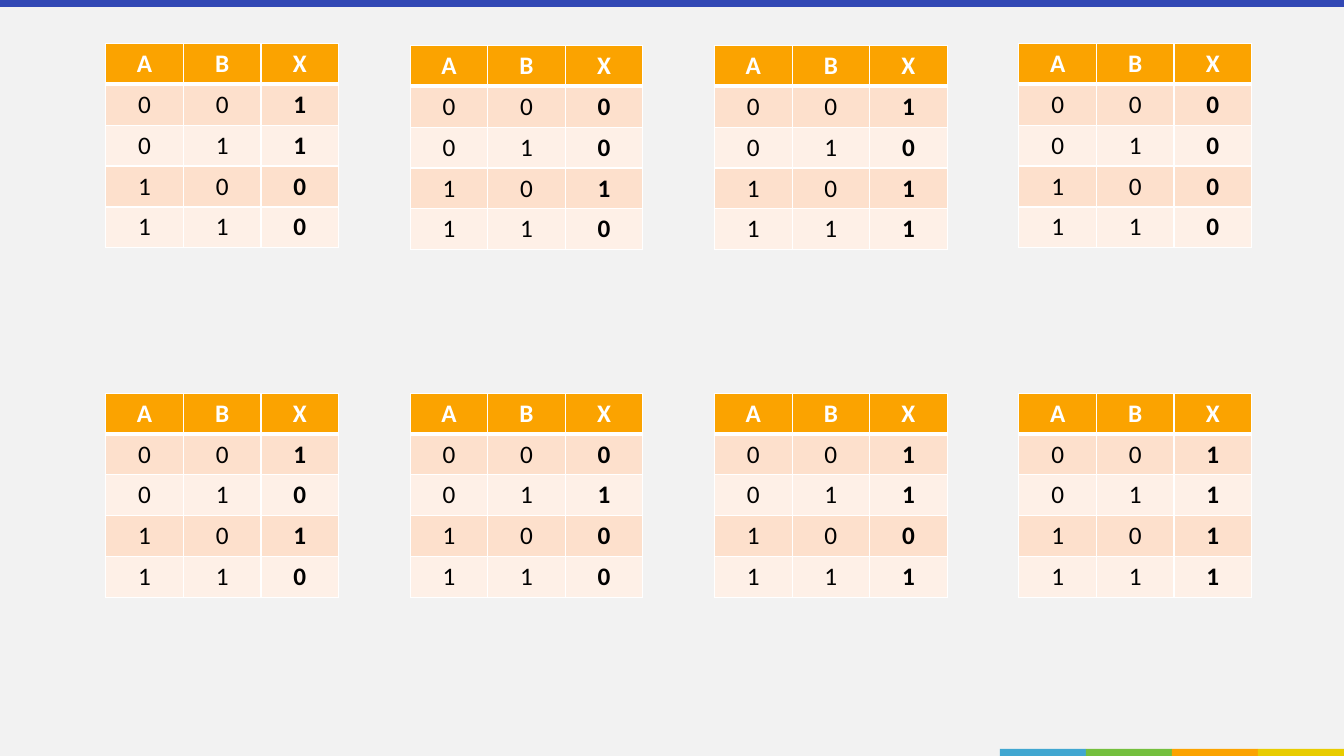
from lxml.etree import SubElement as Sub
from pptx import Presentation
from pptx.dml.color import RGBColor
from pptx.enum.shapes import MSO_SHAPE as Shape
from pptx.enum.text import PP_ALIGN as Align
from pptx.oxml.ns import qn
from pptx.util import Pt

WIDE, HIGH = 960, 540
BAR = 5
COL, ROW = 55.4, 29.2
LEFT, STEP = 75.6, 217.4
WHITE, BLACK, GOLD = "FFFFFF", "000000", "FBA300"
BANDS = ["FDE0CC", "FEF0E7"]
INPUTS = ["00", "01", "10", "11"]

# Top edge and X column of each truth table, by row of the slide
GRID = [
    [(31, "1100"), (32.4, "0010"), (32.4, "1011"), (31, "0000")],
    [(280.8, "1010"), (280.8, "0100"), (280.8, "1101"), (280.8, "1111")],
]


def paint(fill, color):
    fill.solid()
    fill.fore_color.rgb = RGBColor.from_string(color)


def add_bar(slide, x, y, w, h, color):
    bar = slide.shapes.add_shape(Shape.RECTANGLE, Pt(x), Pt(y), Pt(w), Pt(h))
    bar.shadow.inherit = False
    bar.line.fill.background()
    paint(bar.fill, color)


def add_strip(slide, x, y, w, h, colors):
    part = w / len(colors)
    for i, color in enumerate(colors):
        add_bar(slide, x + i * part, y, part, h, color)


def add_edges(cell, top, bottom):
    props = cell._tc.get_or_add_tcPr()
    for side, width in (("L", 1), ("R", 1), ("T", top), ("B", bottom)):
        line = Sub(props, qn(f"a:ln{side}"), w=str(Pt(width)))
        Sub(Sub(line, qn("a:solidFill")), qn("a:srgbClr"), val=WHITE)


def fill_cell(cell, text, row, bold):
    # The rule under the header is thick on both sides of the shared edge
    add_edges(cell, 3 if row == 1 else 1, 3 if row == 0 else 1)
    paint(cell.fill, BANDS[(row - 1) % 2] if row else GOLD)
    para = cell.text_frame.paragraphs[0]
    para.alignment = Align.CENTER
    run = para.add_run()
    run.text = text
    font = run.font
    font.name, font.size, font.bold = "Calibri", Pt(18), bold
    font.color.rgb = RGBColor.from_string(BLACK if row else WHITE)


def add_truth(slide, x, y, w, h, output):
    rows = ["ABX"] + [pair + out for pair, out in zip(INPUTS, output)]
    table = slide.shapes.add_table(
        len(rows), 3, Pt(x), Pt(y), Pt(w), Pt(h)).table
    for col in table.columns:
        col.width = Pt(w / 3)
    for r, line in enumerate(rows):
        table.rows[r].height = Pt(h / len(rows))
        for c, text in enumerate(line):
            fill_cell(table.cell(r, c), text, r, r == 0 or c == 2)


def main():
    deck = Presentation()
    deck.slide_width, deck.slide_height = Pt(WIDE), Pt(HIGH)
    slide = deck.slides.add_slide(deck.slide_layouts[6])
    paint(slide.background.fill, "F2F2F2")

    # Coloured edges of the slide
    add_bar(slide, 0, 0, WIDE, BAR, "3248B5")
    add_strip(slide, 714.2, HIGH - BAR, WIDE - 714.2, BAR,
              ["41A7D1", "74BF3D", GOLD, "E8CC00"])

    # Truth tables
    for line in GRID:
        for i, (top, output) in enumerate(line):
            add_truth(slide, LEFT + i * STEP, top, 3 * COL, 5 * ROW, output)

    deck.save("out.pptx")


if __name__ == "__main__":
    main()
